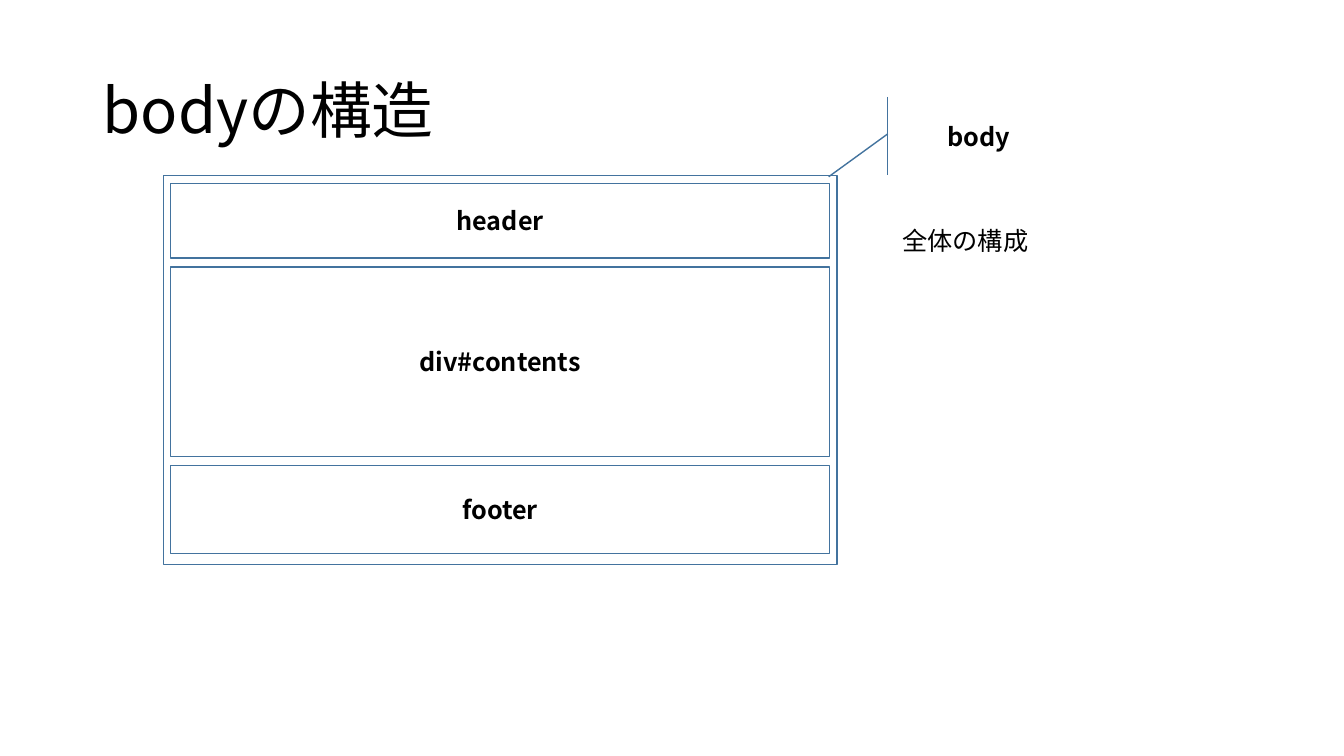
import pptx
import pptx.dml.color
import pptx.enum.shapes
import pptx.enum.text
import pptx.oxml.ns
import pptx.util
from pptx.util import Inches

FONT = "Noto Sans CJK JP"
BLUE = "43739E"
WHITE = "FFFFFF"
BLACK = "000000"
SHAPES = pptx.enum.shapes.MSO_SHAPE
ALIGN = pptx.enum.text.PP_ALIGN
ANCHOR = pptx.enum.text.MSO_ANCHOR


def color(hex_value):
    return pptx.dml.color.RGBColor.from_string(hex_value)


def write_text(shape, text, size=18, bold=False, align=ALIGN.LEFT,
               anchor=ANCHOR.MIDDLE, line_spacing=1.0):
    frame = shape.text_frame
    frame.word_wrap = True
    frame.vertical_anchor = anchor
    paragraph = frame.paragraphs[0]
    paragraph.alignment = align
    paragraph.line_spacing = line_spacing
    run = paragraph.add_run()
    run.text = text
    run.font.size = pptx.util.Pt(size)
    run.font.bold = bold
    run.font.name = FONT
    run.font.color.rgb = color(BLACK)
    # East Asian characters take their typeface from a:ea
    east_asian = run.font._element.makeelement(pptx.oxml.ns.qn("a:ea"), {"typeface": FONT})
    run.font._element.append(east_asian)


presentation = pptx.Presentation()
presentation.slide_width = Inches(13.33)
presentation.slide_height = Inches(7.5)
slide = presentation.slides.add_slide(presentation.slide_layouts[5])

title = slide.shapes.title
title.left, title.top = Inches(0.92), Inches(0.4)
title.width, title.height = Inches(11.5), Inches(1.45)
write_text(title, "bodyの構造", size=44, line_spacing=0.9)

# Page sections, stacked inside the body frame
structure = slide.shapes.add_group_shape()
sections = [("header", 0.74), ("div#contents", 1.88), ("footer", 0.87)]
section_gap = 0.09
top = 1.82
boxes = []
for name, height in sections:
    section = structure.shapes.add_shape(
        SHAPES.RECTANGLE, Inches(1.69), Inches(top), Inches(6.54), Inches(height))
    write_text(section, name, bold=True, align=ALIGN.CENTER)
    boxes.append(section)
    top += height + section_gap

body_frame = structure.shapes.add_shape(
    SHAPES.RECTANGLE, Inches(1.62), Inches(1.74), Inches(6.68), Inches(3.86))

callout = slide.shapes.add_shape(
    SHAPES.LINE_CALLOUT_1_ACCENT_BAR, Inches(8.85), Inches(0.96), Inches(1.72), Inches(0.78))
for index, value in enumerate([0.473, -0.027, 1.018, -0.367]):
    callout.adjustments[index] = value
write_text(callout, "body", bold=True, align=ALIGN.CENTER)

for shape in [*boxes, body_frame, callout]:
    shape.shadow.inherit = False
    shape.line.color.rgb = color(BLUE)
    shape.line.width = pptx.util.Pt(1)
    shape.fill.solid()
    shape.fill.fore_color.rgb = color(WHITE)
body_frame.fill.background()

caption = slide.shapes.add_textbox(Inches(8.85), Inches(2.19), Inches(3.78), Inches(0.4))
write_text(caption, "全体の構成", anchor=ANCHOR.TOP)
caption.text_frame.auto_size = pptx.enum.text.MSO_AUTO_SIZE.SHAPE_TO_FIT_TEXT

presentation.save("out.pptx")
